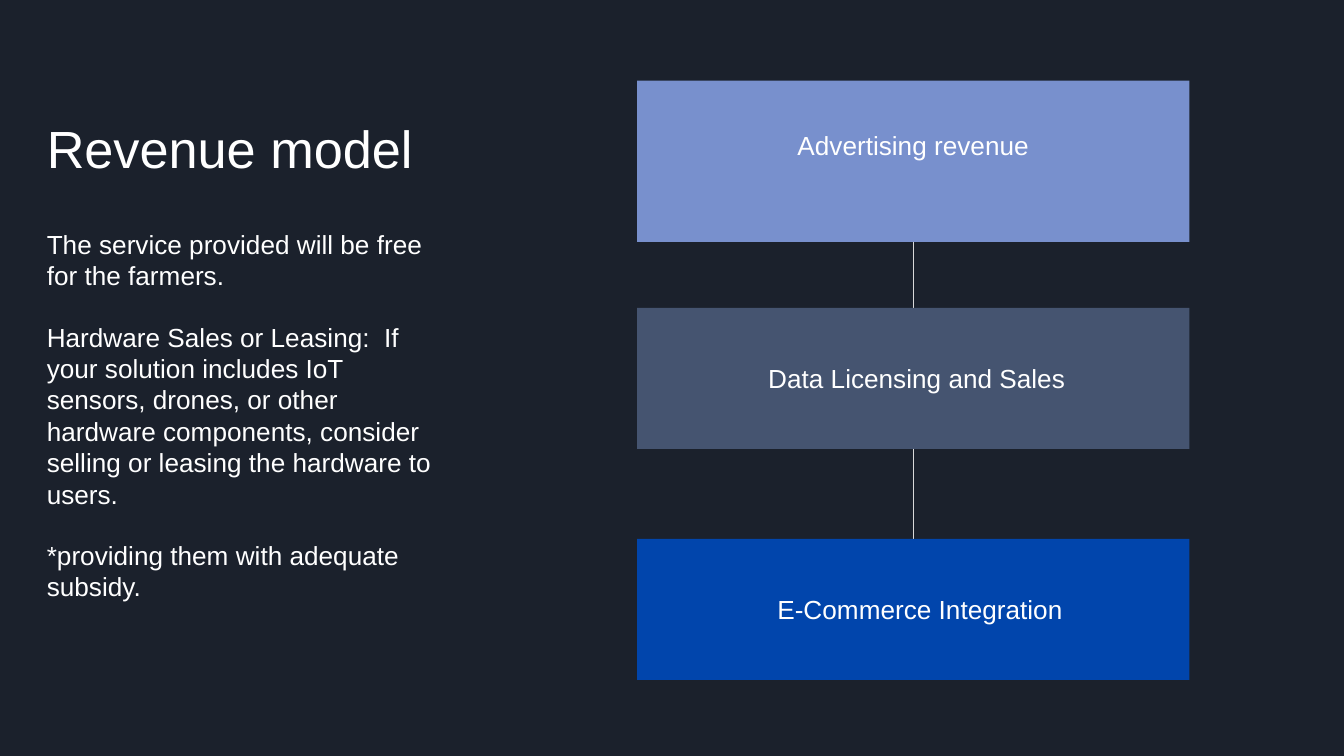
from lxml.etree import SubElement
from pptx import Presentation
from pptx.dml.color import RGBColor
from pptx.enum.shapes import MSO_CONNECTOR, MSO_SHAPE
from pptx.enum.text import MSO_ANCHOR, PP_ALIGN
from pptx.oxml.ns import qn
from pptx.util import Inches, Pt

NIGHT = RGBColor(0x1B, 0x21, 0x2C)
WHITE = RGBColor(0xFF, 0xFF, 0xFF)
PERIWINKLE = RGBColor(0x78, 0x90, 0xCD)
SLATE = RGBColor(0x45, 0x54, 0x70)
COBALT = RGBColor(0x01, 0x45, 0xAC)
LIGHT_GREY = RGBColor(0xD9, 0xD9, 0xD9)

SLIDE_WIDTH = 10
SLIDE_HEIGHT = SLIDE_WIDTH * 9 / 16
INSET = 0.1

TITLE = "Revenue model"
DETAILS = [
    "The service provided will be free for the farmers.",
    "Hardware Sales or Leasing:  If your solution includes IoT sensors, drones, "
    "or other hardware components, consider selling or leasing the hardware to users.",
    "*providing them with adequate subsidy.",
]
# label, fill, top offset, height, left inset, bottom inset
STREAMS = [
    ("Advertising revenue", PERIWINKLE, 0, 1.2, INSET, 0.34),
    ("Data Licensing and Sales", SLATE, 1.69, 1.05, 0.15, INSET),
    ("E-Commerce Integration", COBALT, 3.41, 1.05, 0.2, INSET),
]


def write_text(shape, paragraphs, size=14, align=PP_ALIGN.LEFT, anchor=MSO_ANCHOR.TOP,
               left=INSET, bottom=INSET, gap=0):
    """Fill a shape with white Arial paragraphs."""
    frame = shape.text_frame
    frame.word_wrap = True
    frame.vertical_anchor = anchor
    frame.margin_left, frame.margin_bottom = Inches(left), Inches(bottom)
    frame.margin_right = frame.margin_top = Inches(INSET)
    for index, text in enumerate(paragraphs):
        paragraph = frame.add_paragraph() if index else frame.paragraphs[0]
        paragraph.alignment = align
        if index:
            paragraph.space_before = Pt(gap)
        run = paragraph.add_run()
        run.text = text
        run.font.name = "Arial"
        run.font.size = Pt(size)
        run.font.color.rgb = WHITE


def add_summary(slide, left, top, width, height):
    """Place the title above the explanatory paragraphs."""
    title_height, details_offset = 1.04, 1.21
    title = slide.shapes.add_textbox(
        Inches(left), Inches(top), Inches(width), Inches(title_height))
    write_text(title, [TITLE], size=28, anchor=MSO_ANCHOR.BOTTOM)
    details = slide.shapes.add_textbox(
        Inches(left), Inches(top + details_offset),
        Inches(width), Inches(height - details_offset))
    write_text(details, DETAILS, gap=16)


def add_link(slide, center, top, bottom):
    """Draw a thin vertical line between two boxes."""
    link = slide.shapes.add_connector(
        MSO_CONNECTOR.STRAIGHT, Inches(center), Inches(top), Inches(center), Inches(bottom))
    link.line.color.rgb = LIGHT_GREY
    link.line.width = Pt(0.75)
    SubElement(link._element.spPr, qn("a:effectLst"))


def add_streams(slide, left, top, width):
    """Stack the revenue streams and link each to the one above."""
    previous_bottom = None
    for label, color, offset, height, left_inset, bottom_inset in STREAMS:
        box_top = top + offset
        if previous_bottom is not None:
            add_link(slide, left + width / 2, previous_bottom, box_top)
        box = slide.shapes.add_shape(
            MSO_SHAPE.RECTANGLE, Inches(left), Inches(box_top), Inches(width), Inches(height))
        box.shadow.inherit = False
        box.fill.solid()
        box.fill.fore_color.rgb = color
        box.line.fill.background()
        write_text(box, [label], align=PP_ALIGN.CENTER, anchor=MSO_ANCHOR.MIDDLE,
                   left=left_inset, bottom=bottom_inset)
        previous_bottom = box_top + height


def main():
    """Build and save the revenue model slide."""
    presentation = Presentation()
    presentation.slide_width = Inches(SLIDE_WIDTH)
    presentation.slide_height = Inches(SLIDE_HEIGHT)
    slide = presentation.slides.add_slide(presentation.slide_layouts[6])
    slide.background.fill.solid()
    slide.background.fill.fore_color.rgb = NIGHT
    add_summary(slide, left=0.25, top=0.39, width=3.07, height=4.67)
    add_streams(slide, left=4.74, top=0.6, width=4.11)
    presentation.save("out.pptx")


if __name__ == "__main__":
    main()
